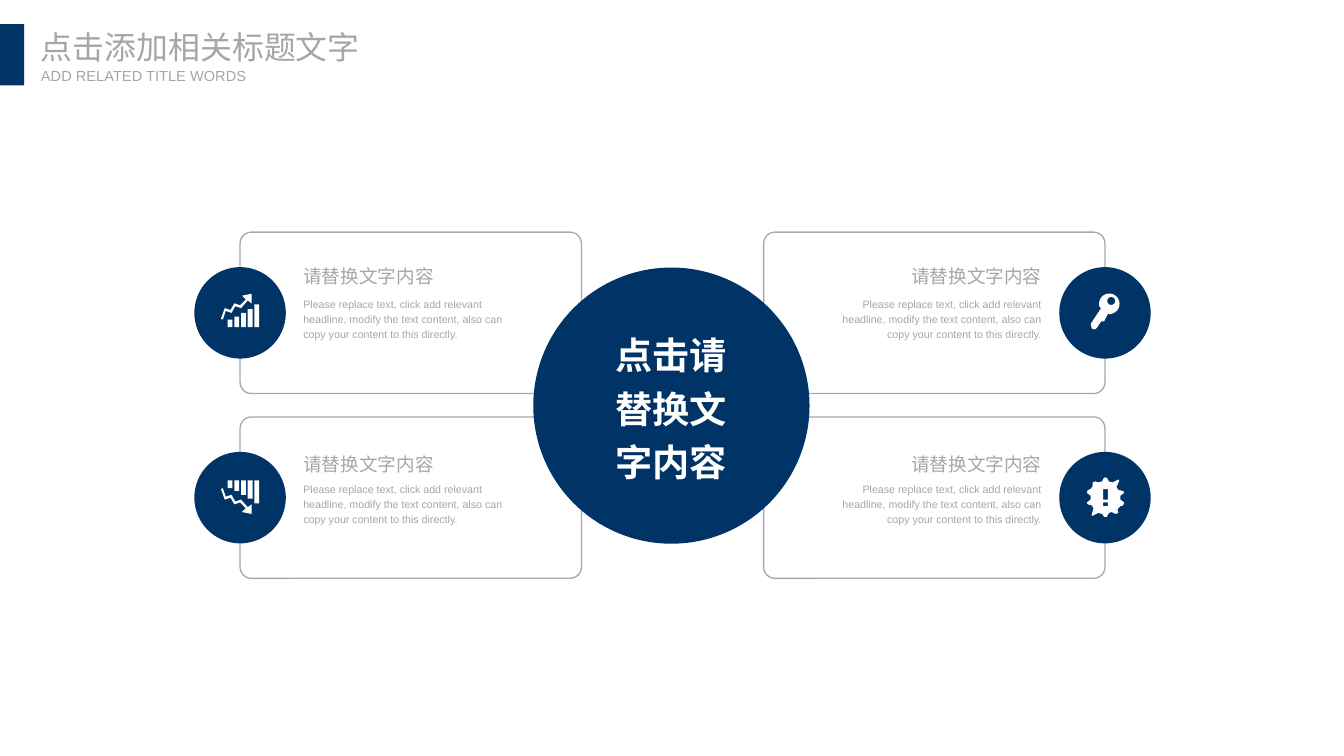
from math import cos, radians, sin

from lxml.etree import SubElement
from pptx import Presentation
from pptx.dml.color import RGBColor
from pptx.enum.shapes import MSO_SHAPE
from pptx.enum.text import MSO_ANCHOR, PP_ALIGN
from pptx.oxml.ns import qn
from pptx.util import Cm, Pt

NAVY, GREY, BORDER, WHITE = "003366", "A6A6A6", "A6AAA9", "FFFFFF"
LATIN, CJK = "Arial", "Noto Sans CJK SC"
CARD_W, CARD_H, BADGE = 9.07, 4.29, 2.43
ICON_UNIT = Cm(2.54) / 100
HEADING = "请替换文字内容"
BODY = ("Please replace text, click add relevant headline, modify the text "
        "content, also can copy your content to this directly.")

TREND = [(-5, -7), (1, -5), (8, -13), (12, -10), (12, -20), (2, -18),
         (6, -14), (0, -8), (-6, -10), (-10, -3), (-16, -5), (-20, 6),
         (-18, 7), (-15, -2), (-9, 0)]
KEY_SHAFT = [(-4, -5), (-14, 10), (-15, 12), (-14, 16), (-13, 17),
             (-10, 17), (-8, 15), (-4, 9), (-1, 9)]
BURST = [(20, 5), (16, 2), (16, -2), (20, -5), (19, -7), (14, -8),
         (12, -11), (15, -18), (14, -19), (8, -16), (4, -17), (2, -21),
         (-1, -21), (-3, -17), (-7, -16), (-10, -17), (-13, -16),
         (-13, -12), (-15, -9), (-18, -8), (-19, -5), (-15, -2), (-15, 2),
         (-19, 5), (-18, 7), (-14, 8), (-12, 11), (-14, 18), (-13, 19),
         (-7, 16), (-3, 17), (-1, 20), (2, 20), (4, 16), (7, 15), (11, 17),
         (14, 16), (13, 12), (16, 9), (19, 8)]


def color(value):
    return RGBColor.from_string(value)


def block(left, top, right, bottom):
    return [(left, top), (right, top), (right, bottom), (left, bottom)]


def arc(cx, cy, radius, start, stop, step):
    return [(cx + radius * cos(radians(a)), cy + radius * sin(radians(a)))
            for a in range(start, stop, step)]


def growth_icon():
    tops = [7, 4, 0, -4, -9]
    bars = [block(-13 + 7 * i, top, -8 + 7 * i, 15) for i, top in enumerate(tops)]
    return [TREND] + bars


def decline_icon():
    return [[(x, -y - 3) for x, y in outline] for outline in growth_icon()]


def key_icon():
    bow = arc(4.5, -9.5, 10.7, 98, -208, -9)
    hole = arc(6.5, -12.5, 4.2, 0, 360, 15)
    return [KEY_SHAFT + bow, hole]


def alert_icon():
    return [BURST, block(-2, -9, 3, 2), block(-2, 5, 3, 9)]


def paint(sp, fill=None, line=None):
    sp.shadow.inherit = False
    if fill:
        sp.fill.solid()
        sp.fill.fore_color.rgb = color(fill)
    else:
        sp.fill.background()
    if line:
        sp.line.color.rgb = color(line)
        sp.line.width = Pt(1)
    else:
        sp.line.fill.background()


def add_preset(s, kind, x, y, w, h, fill=None, line=None):
    sp = s.shapes.add_shape(kind, Cm(x), Cm(y), Cm(w), Cm(h))
    paint(sp, fill, line)
    return sp


def add_text(s, text, x, y, w, h, size, fill, font=LATIN, align=PP_ALIGN.LEFT,
             anchor=MSO_ANCHOR.TOP, spacing=1.2, bold=False, wrap=True):
    tf = s.shapes.add_textbox(Cm(x), Cm(y), Cm(w), Cm(h)).text_frame
    tf.margin_left = tf.margin_right = tf.margin_top = tf.margin_bottom = 0
    tf.word_wrap = wrap
    tf.vertical_anchor = anchor
    tf.text = text
    p = tf.paragraphs[0]
    p.alignment = align
    p.line_spacing = spacing
    r = p.runs[0]
    r.font.size = Pt(size)
    r.font.bold = bold
    r.font.name = font
    r.font.color.rgb = color(fill)
    SubElement(r.font._element, qn("a:ea")).set("typeface", font)


def add_icon(s, outlines, cx, cy):
    placed = [[(Cm(cx) + x * ICON_UNIT, Cm(cy) + y * ICON_UNIT) for x, y in outline]
              for outline in outlines]
    builder = s.shapes.build_freeform(*placed[0][0])
    builder.add_line_segments(placed[0][1:])
    for outline in placed[1:]:
        builder.move_to(*outline[0])
        builder.add_line_segments(outline[1:])
    paint(builder.convert_to_shape(), WHITE)


def add_header(s, x, y):
    add_preset(s, MSO_SHAPE.RECTANGLE, x, y, 0.64, 1.63, NAVY)
    add_text(s, "点击添加相关标题文字", x + 1.09, y + 0.1, 8.56, 1.02, 24, GREY,
             font=CJK, spacing=1, wrap=False)
    add_text(s, "ADD RELATED TITLE WORDS", x + 1.09, y + 1.14, 5.54, 0.48, 11, GREY,
             spacing=1, wrap=False)


def add_card_frame(s, x, y):
    sp = add_preset(s, MSO_SHAPE.ROUNDED_RECTANGLE, x, y, CARD_W, CARD_H, line=BORDER)
    sp.adjustments[0] = 0.07


def add_card_content(s, x, y, heading_top, icon, mirrored):
    align = PP_ALIGN.RIGHT if mirrored else PP_ALIGN.LEFT
    for text, top, w, h, size, anchor in [
            (HEADING, heading_top, 4.75, 0.71, 14, MSO_ANCHOR.MIDDLE),
            (BODY, 1.68, 5.9, 1.19, 8, MSO_ANCHOR.TOP)]:
        left = x + CARD_W - 1.68 - w if mirrored else x + 1.68
        add_text(s, text, left, y + top, w, h, size, GREY, align=align, anchor=anchor)
    cx = x + CARD_W if mirrored else x
    cy = y + CARD_H / 2
    add_preset(s, MSO_SHAPE.OVAL, cx - BADGE / 2, cy - BADGE / 2, BADGE, BADGE, NAVY)
    add_icon(s, icon, cx, cy)


def add_hub(s, x, y, size):
    add_preset(s, MSO_SHAPE.OVAL, x, y, size, size, NAVY)
    w, h = 3.91, 1.6
    add_text(s, "点击请替换文字内容", x + (size - w) / 2, y + (size - h) / 2 - 0.05, w, h,
             28, WHITE, align=PP_ALIGN.CENTER, anchor=MSO_ANCHOR.MIDDLE, bold=True)


def main():
    prs = Presentation()
    prs.slide_width, prs.slide_height = Cm(35.71), Cm(20.09)
    s = prs.slides.add_slide(prs.slide_layouts[6])
    columns = [(6.38, False), (20.29, True)]
    rows = [(6.17, 0.76), (11.08, 0.85)]
    icons = [[growth_icon(), key_icon()], [decline_icon(), alert_icon()]]
    for y, _ in rows:
        for x, _ in columns:
            add_card_frame(s, x, y)
    add_hub(s, 14.17, 7.11, 7.34)
    for (y, heading_top), row_icons in zip(rows, icons):
        for (x, mirrored), icon in zip(columns, row_icons):
            add_card_content(s, x, y, heading_top, icon, mirrored)
    add_header(s, 0, 0.64)
    prs.save("out.pptx")


if __name__ == "__main__":
    main()
